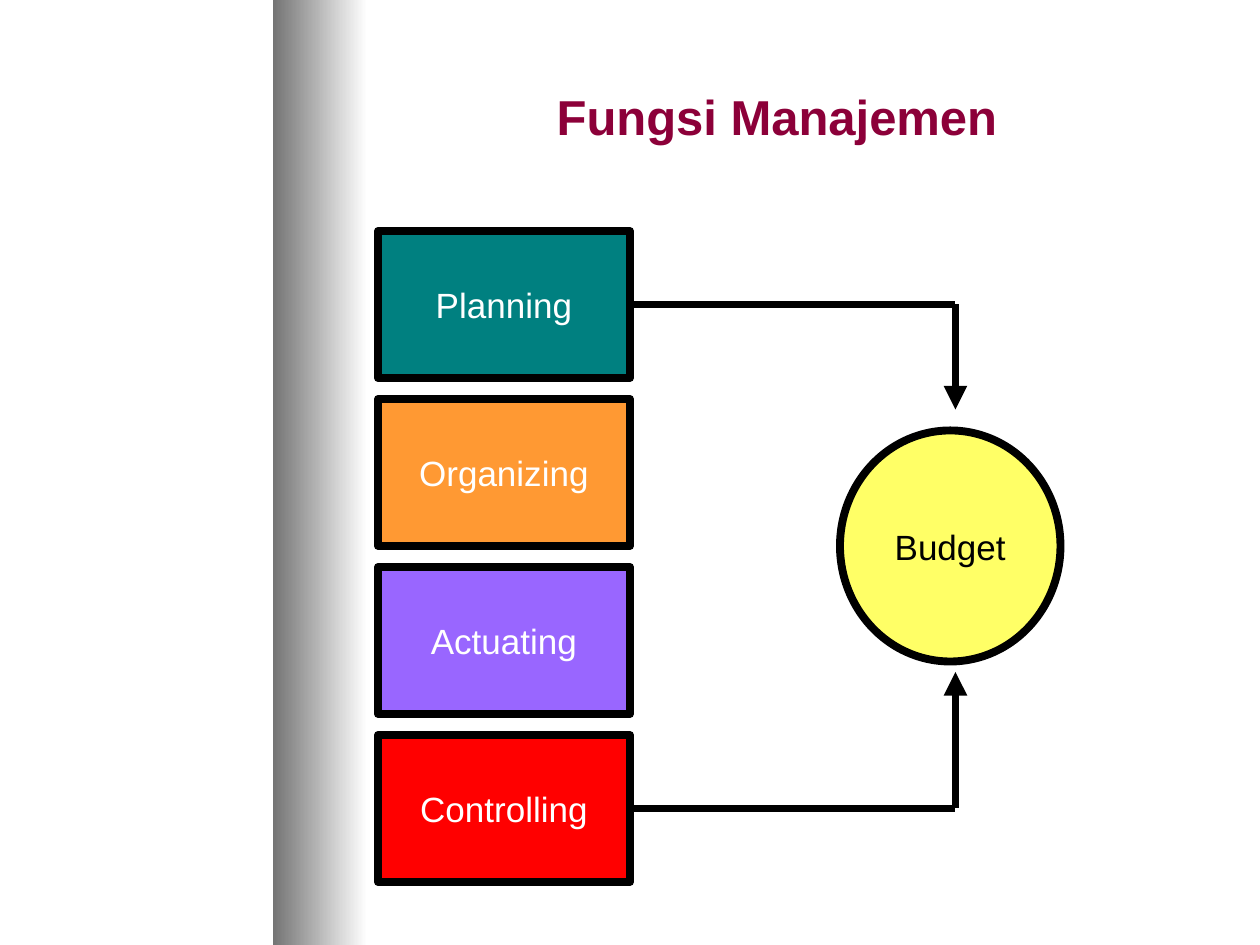
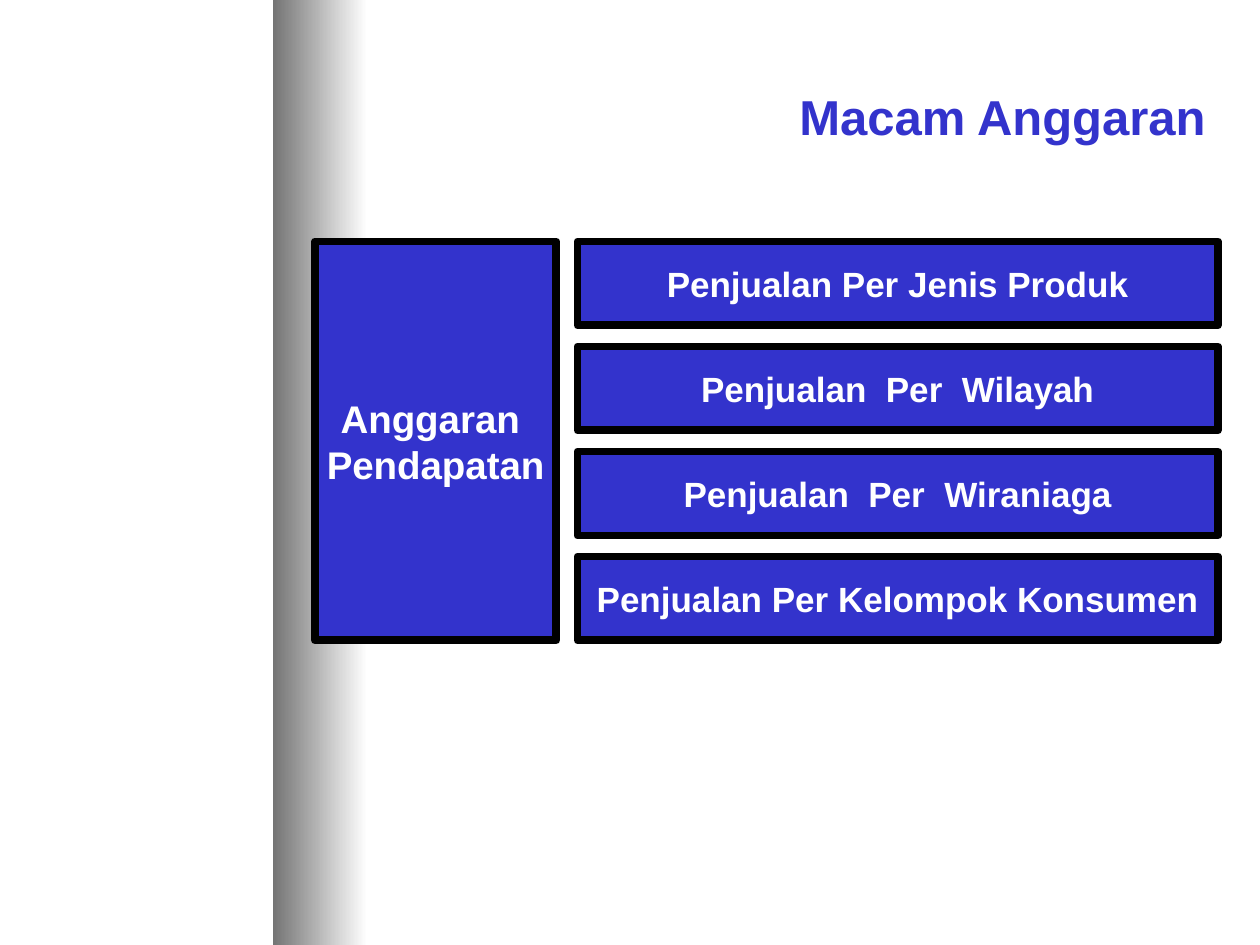
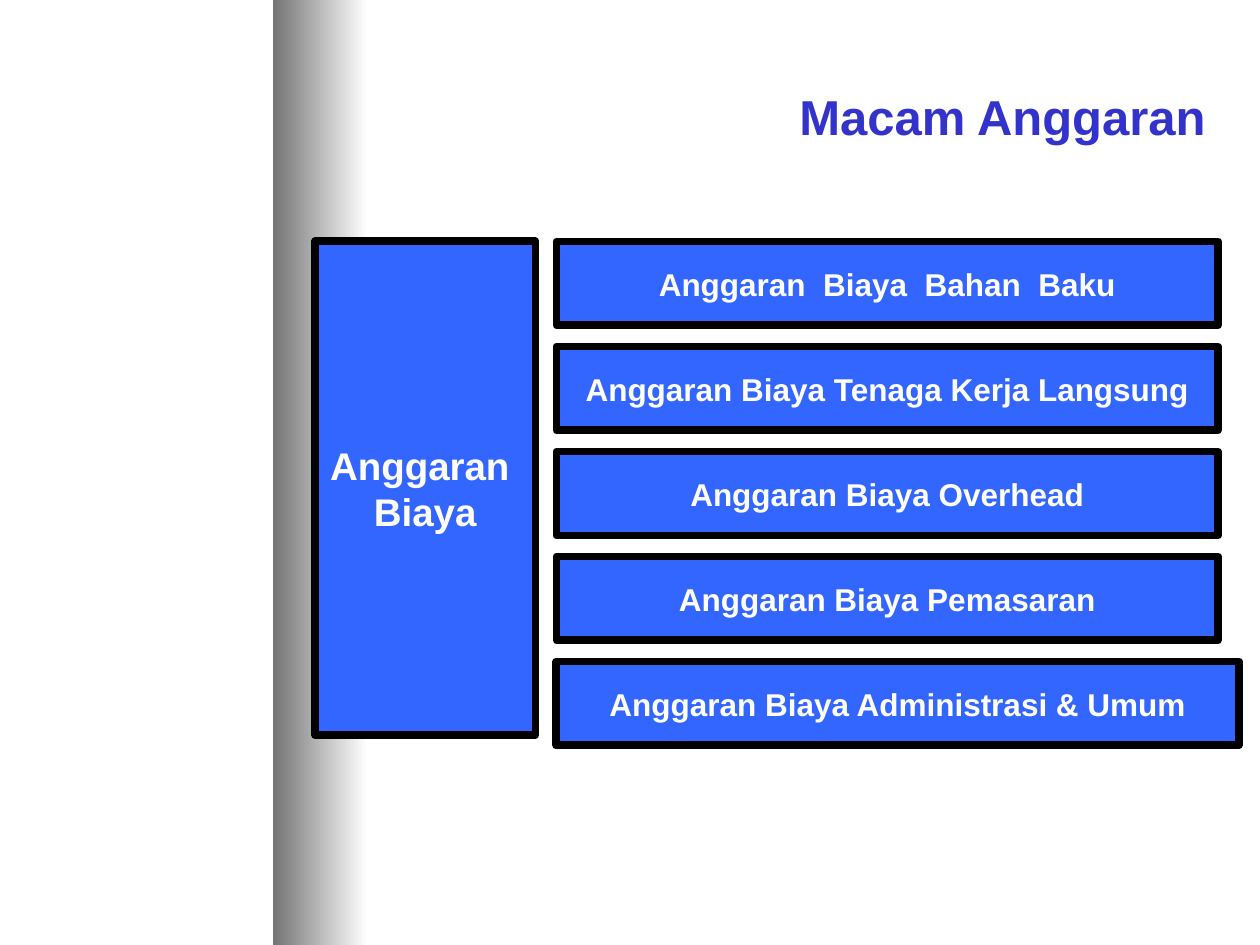
import pptx
import pptx.dml.color
import pptx.enum.shapes
import pptx.enum.text
import pptx.oxml
import pptx.oxml.ns
import pptx.util

COLUMNS, ROWS = 120, 90
COLORS = {
    "white": "FFFFFF", "black": "000000", "shade": "747474",
    "maroon": "8C0039", "navy": "3333CC", "blue": "3366FF",
    "teal": "008080", "orange": "FF9933", "violet": "9966FF",
    "red": "FF0000", "yellow": "FFFF66",
}
ALIGN = pptx.enum.text.PP_ALIGN
SHAPE = pptx.enum.shapes.MSO_SHAPE


def rgb(color):
    return pptx.dml.color.RGBColor.from_string(COLORS[color])


def set_formats(target, formats):
    for attribute, value in formats.items():
        setattr(target, attribute, value)


class Deck:
    font_name = "Arial"
    border = pptx.util.Pt(4.5)

    def __init__(self):
        self.presentation = pptx.Presentation()
        self.presentation.slide_width = pptx.util.Inches(10)
        self.presentation.slide_height = pptx.util.Inches(7.5)
        self.layout = self.presentation.slide_layouts[5]
        self.slide = None

    def x(self, columns):
        return round(self.presentation.slide_width * columns / COLUMNS)

    def y(self, rows):
        return round(self.presentation.slide_height * rows / ROWS)

    def area(self, left, top, width, height):
        return self.x(left), self.y(top), self.x(width), self.y(height)

    def start(self, heading, color, align):
        self.slide = self.presentation.slides.add_slide(self.layout)
        title = self.slide.shapes.title
        places = self.area(32, 3, 84, 16)
        set_formats(title, dict(zip(("left", "top", "width", "height"), places)))
        self.set_text(title.text_frame, [heading], 28, color, True, align)

    def set_text(self, frame, lines, size, color, bold=False, align=ALIGN.CENTER):
        frame.vertical_anchor = pptx.enum.text.MSO_ANCHOR.MIDDLE
        frame.text = "\n".join(lines)
        formats = {"name": self.font_name, "size": pptx.util.Pt(size), "bold": bold}
        for paragraph in frame.paragraphs:
            paragraph.alignment = align
            for run in paragraph.runs:
                set_formats(run.font, formats)
                run.font.color.rgb = rgb(color)

    def shared_band(self):
        band = self.slide.shapes.add_shape(SHAPE.RECTANGLE, *self.area(26, 0, 9, ROWS))
        band.shadow.inherit = False
        band.line.fill.background()
        band.fill.gradient()
        band.fill.gradient_angle = 0
        for stop, color in zip(band.fill.gradient_stops, ("shade", "white")):
            stop.color.rgb = rgb(color)
        band.element.nvSpPr.cNvPr.id = 20
        self.layout.shapes.element.insert(2, band.element)

    def box(self, place, lines, fill, size=20, color="white", bold=False,
            outline=SHAPE.RECTANGLE):
        box = self.slide.shapes.add_shape(outline, *self.area(*place))
        box.shadow.inherit = False
        box.fill.solid()
        box.fill.fore_color.rgb = rgb(fill)
        box.line.color.rgb = rgb("black")
        box.line.width = self.border
        box.text_frame.word_wrap = False
        self.set_text(box.text_frame, lines, size, color, bold)

    def line(self, start, end, arrow=False):
        line = self.slide.shapes.add_connector(
            pptx.enum.shapes.MSO_CONNECTOR.STRAIGHT,
            self.x(start[0]), self.y(start[1]), self.x(end[0]), self.y(end[1]))
        line.line.color.rgb = rgb("black")
        line.line.width = self.border
        properties = line.element.spPr
        if arrow:
            tip = pptx.oxml.parse_xml(
                f'<a:tailEnd {pptx.oxml.ns.nsdecls("a")} type="triangle"/>')
            properties.ln.append(tip)
        properties.append(pptx.oxml.parse_xml(
            f'<a:effectLst {pptx.oxml.ns.nsdecls("a")}/>'))

    def budget_kinds(self, group, group_width, group_height, kinds, fill, size,
                     last_extra=0):
        self.start("Macam Anggaran", "navy", ALIGN.RIGHT)
        left, top = 30, 23
        self.box((left, top, group_width, group_height), group, fill, 22, bold=True)
        kinds_left = left + group_width + 2
        for index, kind in enumerate(kinds):
            extra = last_extra if index == len(kinds) - 1 else 0
            place = (kinds_left, top + 10 * index, 116 - kinds_left + extra, 8)
            self.box(place, [kind], fill, size, bold=True)


def main():
    deck = Deck()
    deck.start("Fungsi Manajemen", "maroon", ALIGN.CENTER)
    deck.shared_band()
    functions = {"Planning": "teal", "Organizing": "orange",
                 "Actuating": "violet", "Controlling": "red"}
    for index, (function, fill) in enumerate(functions.items()):
        deck.box((36, 22 + 16 * index, 24, 14), [function], fill)
    deck.box((80, 41, 21, 22), ["Budget"], "yellow", color="black", outline=SHAPE.OVAL)
    for function_row, budget_row in ((29, 39), (77, 64)):
        corner = (91, function_row)
        deck.line((60, function_row), corner)
        deck.line(corner, (91, budget_row), arrow=True)

    deck.budget_kinds(
        ["Anggaran ", "Pendapatan"], 23, 38,
        ["Penjualan Per Jenis Produk", "Penjualan  Per  Wilayah",
         "Penjualan  Per  Wiraniaga", "Penjualan Per Kelompok Konsumen"],
        "navy", 20)
    deck.budget_kinds(
        ["Anggaran ", "Biaya"], 21, 47,
        ["Anggaran  Biaya  Bahan  Baku", "Anggaran Biaya Tenaga Kerja Langsung",
         "Anggaran Biaya Overhead", "Anggaran Biaya Pemasaran",
         "Anggaran Biaya Administrasi & Umum"],
        "blue", 18, last_extra=2)
    deck.presentation.save("out.pptx")


if __name__ == "__main__":
    main()
